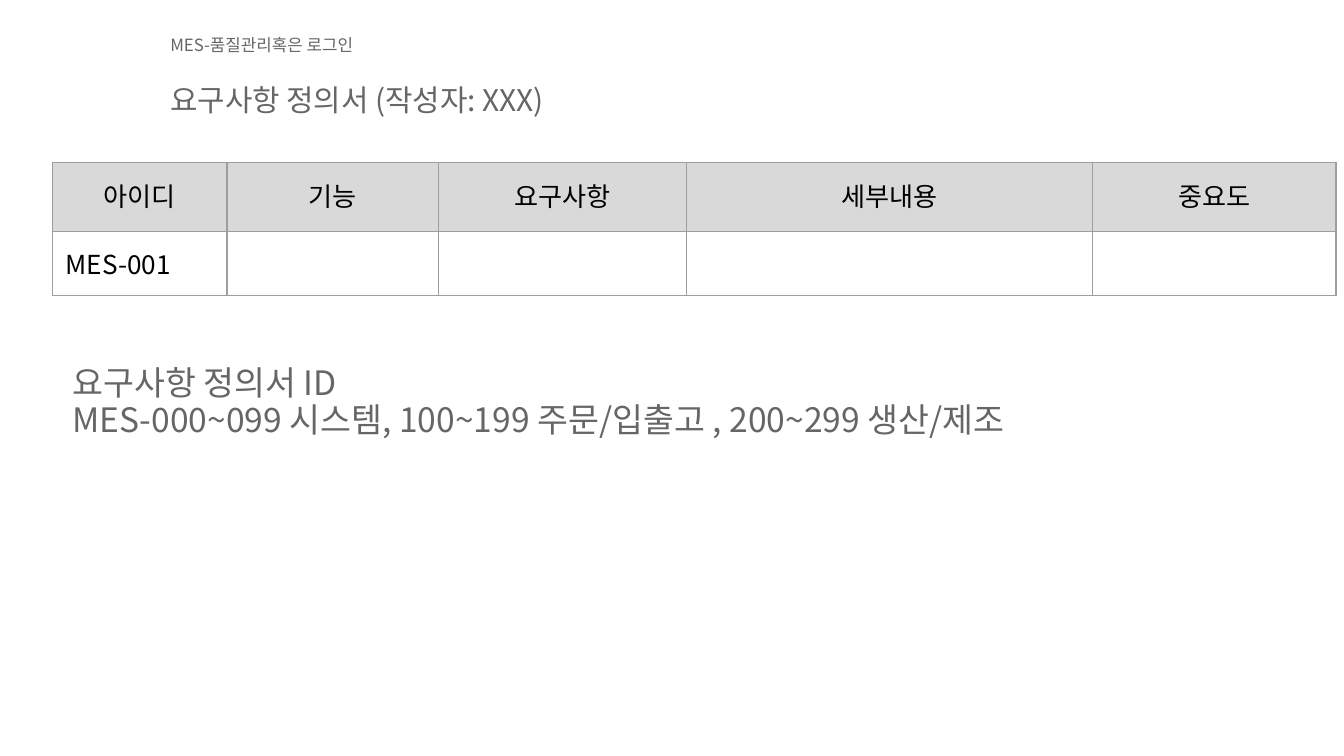
"""Build the requirements definition slide with its ID table."""
from lxml import etree
from pptx import Presentation
from pptx.dml.color import RGBColor
from pptx.enum.text import MSO_AUTO_SIZE, PP_ALIGN
from pptx.oxml.ns import qn
from pptx.util import Cm, Pt

CENTER = PP_ALIGN.CENTER
SHRINK = MSO_AUTO_SIZE.TEXT_TO_FIT_SHAPE
FONT = "Noto Sans CJK KR"
COLORS = {"text": "666666", "cell": "000000", "header": "D9D9D9", "border": "9E9E9E"}
INSET = Cm(0.25)
CELL_SIZE = 14

HEADERS = ["아이디", "기능", "요구사항", "세부내용", "중요도"]
REQUIREMENTS = [["MES-001", "", "", "", ""]]
COLUMN_WIDTHS = [3.3, 3.99, 4.7, 7.67, 4.6]
ROW_HEIGHTS = [1.3, 1.14]
TABLE_LEFT, TABLE_TOP = 0.99, 3.07

NOTES = [
    (["요구사항 정의서 ID",
      "MES-000~099 시스템, 100~199 주문/입출고 , 200~299 생산/제조"],
     18, (1.12, 6.6, 22.86, 2.16)),
    (["요구사항 정의서 (작성자: XXX)"], 16, (2.97, 1.3, 10.74, 1.68)),
    (["MES-품질관리혹은 로그인"], 12, (2.97, 0.41, 6.53, 0.81)),
]


def format_paragraph(paragraph, size, color):
    for run in paragraph.runs:
        run.font.size = Pt(size)
        run.font.name = FONT
        run.font.color.rgb = RGBColor.from_string(COLORS[color])
        etree.SubElement(run.font._element, qn("a:ea"), typeface=FONT)
    if not paragraph.runs:
        etree.SubElement(paragraph._p, qn("a:endParaRPr"), sz=str(size * 100))


def set_insets(target):
    target.margin_left = target.margin_right = INSET
    target.margin_top = target.margin_bottom = INSET


def add_borders(cell):
    properties = cell._tc.get_or_add_tcPr()
    for index, side in enumerate(("a:lnL", "a:lnR", "a:lnT", "a:lnB")):
        line = etree.Element(qn(side), w=str(Pt(0.75)))
        fill = etree.SubElement(line, qn("a:solidFill"))
        etree.SubElement(fill, qn("a:srgbClr"), val=COLORS["border"])
        properties.insert(index, line)


def add_requirements_table(slide):
    rows = [HEADERS] + REQUIREMENTS
    table = slide.shapes.add_table(
        len(rows), len(HEADERS), Cm(TABLE_LEFT), Cm(TABLE_TOP),
        Cm(sum(COLUMN_WIDTHS)), Cm(sum(ROW_HEIGHTS))).table
    for column, width in zip(table.columns, COLUMN_WIDTHS):
        column.width = Cm(width)
    for row, height, texts in zip(table.rows, ROW_HEIGHTS, rows):
        row.height = Cm(height)
        for cell, text in zip(row.cells, texts):
            cell.text = text
            set_insets(cell)
            paragraph = cell.text_frame.paragraphs[0]
            if texts is HEADERS:
                paragraph.alignment = CENTER
                cell.fill.solid()
                cell.fill.fore_color.rgb = RGBColor.from_string(COLORS["header"])
            else:
                cell.fill.background()
            format_paragraph(paragraph, CELL_SIZE, "cell")
            add_borders(cell)


def add_note(slide, lines, size, box):
    frame = slide.shapes.add_textbox(*map(Cm, box)).text_frame
    frame.word_wrap = True
    frame.auto_size = SHRINK
    set_insets(frame)
    frame.text = "\n".join(lines)
    for paragraph in frame.paragraphs:
        format_paragraph(paragraph, size, "text")


def main():
    presentation = Presentation()
    presentation.slide_width, presentation.slide_height = Cm(25.4), Cm(14.29)
    slide = presentation.slides.add_slide(presentation.slide_layouts[6])
    add_requirements_table(slide)
    for lines, size, box in NOTES:
        add_note(slide, lines, size, box)
    presentation.save("out.pptx")


if __name__ == "__main__":
    main()
